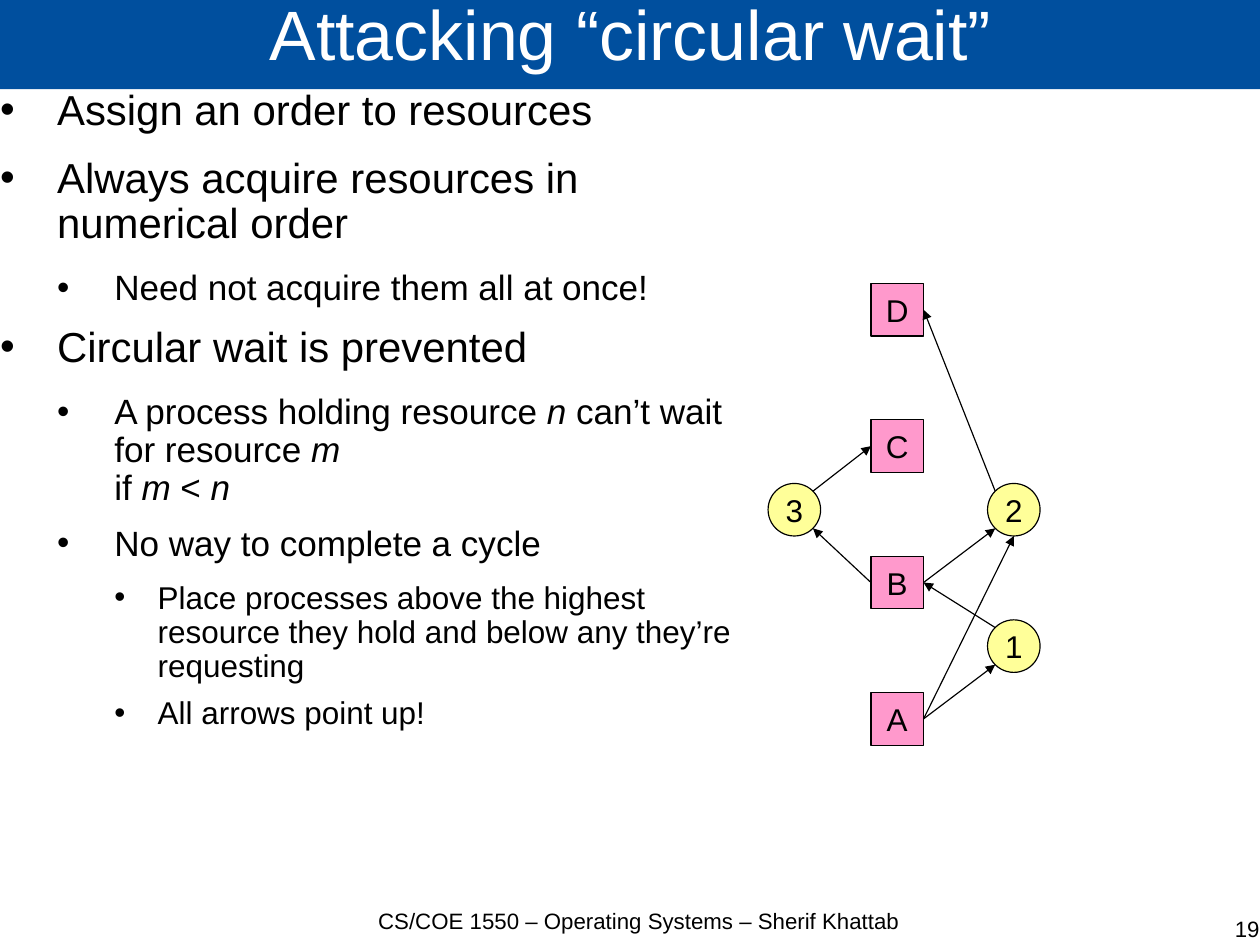
from dataclasses import dataclass
from math import sqrt
from lxml.etree import SubElement
from pptx import Presentation
from pptx.dml.color import RGBColor
from pptx.enum.shapes import MSO_CONNECTOR, MSO_SHAPE
from pptx.enum.text import MSO_ANCHOR, MSO_AUTO_SIZE, PP_ALIGN
from pptx.oxml.ns import qn
from pptx.util import Inches, Pt

TITLE = "Attacking “circular wait”"
POINTS = [
    (0, "Assign an order to resources"),
    (0, "Always acquire resources in numerical order"),
    (1, "Need not acquire them all at once!"),
    (0, "Circular wait is prevented"),
    (1, "A process holding resource *n* can’t wait for resource *m*\nif *m* < *n*"),
    (1, "No way to complete a cycle"),
    (2, "Place processes above the highest resource they hold "
        "and below any they’re requesting"),
    (2, "All arrows point up!"),
]
FOOTERS = [
    ("CS/COE 1550 – Operating Systems – Sherif Khattab", 3.07, 7.94, PP_ALIGN.CENTER),
    ("19", 5.98, 8.01, PP_ALIGN.RIGHT),
]
STACK = "DCBA"
TASKS = {"1": (8.64, 1), "2": (8.64, 0), "3": (6.72, 0)}
LINKS = [
    ("A", "right", "1", "low left"),
    ("1", "high left", "B", "right"),
    ("A", "right", "2", "low"),
    ("B", "right", "2", "low left"),
    ("2", "high left", "D", "right"),
    ("3", "high right", "C", "left"),
    ("B", "left", "3", "low right"),
]


@dataclass(frozen=True)
class Theme:
    font: str = "Arial"
    blue: str = "004F9E"
    pink: str = "FF99CC"
    yellow: str = "FFFF99"
    black: str = "000000"
    white: str = "FFFFFF"
    head: float = 44
    foot: float = 14
    node: float = 19.8
    line: float = 0.75


LOOK = Theme()
LEVELS = [
    {"size": 26.46, "left": 0.5, "hang": 0.5, "after": 14.2},
    {"size": 22.1, "left": 1, "hang": 0.5, "after": 11.4},
    {"size": 19.8, "left": 1.38, "hang": 0.38, "after": 8.5},
]
WIDTH, HEIGHT = 28 / 2.54, 21 / 2.54
SIDE = 0.46
COLUMN, TOP, STEP = 7.62, 2.48, 3.58 / 3
TASK_TOP = 4.23
SITES = {"left": 1, "right": 3}


def apply(item, values):
    for name, value in values.items():
        setattr(item, name, value)


def paint(fill, color):
    fill.solid()
    fill.fore_color.rgb = RGBColor.from_string(color)


def write(para, text, size, color=LOOK.black):
    for row, line in enumerate(text.split("\n")):
        if row:
            para.add_line_break()
        for part, words in enumerate(line.split("*")):
            if words:
                run = para.add_run()
                run.text = words
                apply(run.font, {"name": LOOK.font, "size": Pt(size),
                                 "italic": part % 2 == 1})
                run.font.color.rgb = RGBColor.from_string(color)


def place(shape, left, top, width, height):
    apply(shape, {"left": Inches(left), "top": Inches(top),
                  "width": Inches(width), "height": Inches(height)})


def strip(frame, anchor=MSO_ANCHOR.TOP):
    apply(frame, {"margin_left": 0, "margin_right": 0, "margin_top": 0,
                  "margin_bottom": 0, "word_wrap": True,
                  "auto_size": MSO_AUTO_SIZE.NONE, "vertical_anchor": anchor})


def add_box(slide, *area):
    box = slide.shapes.add_textbox(*map(Inches, area))
    strip(box.text_frame)
    return box.text_frame


def add_title(slide):
    title = slide.shapes.title
    place(title, 0, -0.02, 11.04, 0.8)
    paint(title.fill, LOOK.blue)
    strip(title.text_frame, MSO_ANCHOR.MIDDLE)
    para = title.text_frame.paragraphs[0]
    apply(para, {"alignment": PP_ALIGN.CENTER, "line_spacing": 0.69})
    write(para, TITLE, LOOK.head, LOOK.white)


def add_dot(para, left, hang):
    props = para._p.get_or_add_pPr()
    props.set("marL", str(Inches(left)))
    props.set("indent", str(-Inches(hang)))
    color = SubElement(props, qn("a:buClr"))
    SubElement(color, qn("a:srgbClr"), val=LOOK.black)
    SubElement(props, qn("a:buFont"), typeface=LOOK.font)
    SubElement(props, qn("a:buChar"), char="•")


def add_points(slide):
    frame = add_box(slide, 0, 0.78, 6.71, 7.18)
    for row, (level, text) in enumerate(POINTS):
        para = frame.add_paragraph() if row else frame.paragraphs[0]
        style = LEVELS[level]
        apply(para, {"level": level, "line_spacing": 0.9, "space_before": Pt(0),
                     "space_after": Pt(style["after"])})
        add_dot(para, style["left"], style["hang"])
        write(para, text, style["size"])


def add_node(slide, name, kind, color, left, top):
    node = slide.shapes.add_shape(kind, *map(Inches, (left, top, SIDE, SIDE)))
    node.shadow.inherit = False
    paint(node.fill, color)
    paint(node.line.fill, LOOK.black)
    node.line.width = Pt(LOOK.line)
    apply(node.text_frame, {"word_wrap": False, "vertical_anchor": MSO_ANCHOR.MIDDLE})
    para = node.text_frame.paragraphs[0]
    para.alignment = PP_ALIGN.CENTER
    write(para, name, LOOK.node)
    return node


def find(node, spot):
    across = ("right" in spot) - ("left" in spot)
    down = ("low" in spot) - ("high" in spot)
    reach = node.width / 2 / sqrt(abs(across) + abs(down))
    return (int(node.left + node.width / 2 + across * reach),
            int(node.top + node.height / 2 + down * reach))


def add_link(slide, start, exit, end, entry):
    link = slide.shapes.add_connector(
        MSO_CONNECTOR.STRAIGHT, *find(start, exit), *find(end, entry))
    if exit in SITES:
        link.begin_connect(start, SITES[exit])
    if entry in SITES:
        link.end_connect(end, SITES[entry])
    paint(link.line.fill, LOOK.black)
    link.line.width = Pt(LOOK.line)
    SubElement(link.line._get_or_add_ln(), qn("a:tailEnd"), type="triangle")
    SubElement(link._element.spPr, qn("a:effectLst"))


def main():
    deck = Presentation()
    deck.slide_width = Inches(WIDTH)
    deck.slide_height = Inches(HEIGHT)
    slide = deck.slides.add_slide(deck.slide_layouts[5])
    add_title(slide)
    add_points(slide)
    for text, left, top, align in FOOTERS:
        para = add_box(slide, left, top, 5.04, 0.55).paragraphs[0]
        para.alignment = align
        write(para, text, LOOK.foot)
    nodes = {}
    for row, name in enumerate(STACK):
        nodes[name] = add_node(slide, name, MSO_SHAPE.RECTANGLE, LOOK.pink,
                               COLUMN, TOP + row * STEP)
    for name, (left, row) in TASKS.items():
        nodes[name] = add_node(slide, name, MSO_SHAPE.OVAL, LOOK.yellow,
                               left, TASK_TOP + row * STEP)
    for start, exit, end, entry in LINKS:
        add_link(slide, nodes[start], exit, nodes[end], entry)
    deck.save("out.pptx")


if __name__ == "__main__":
    main()
